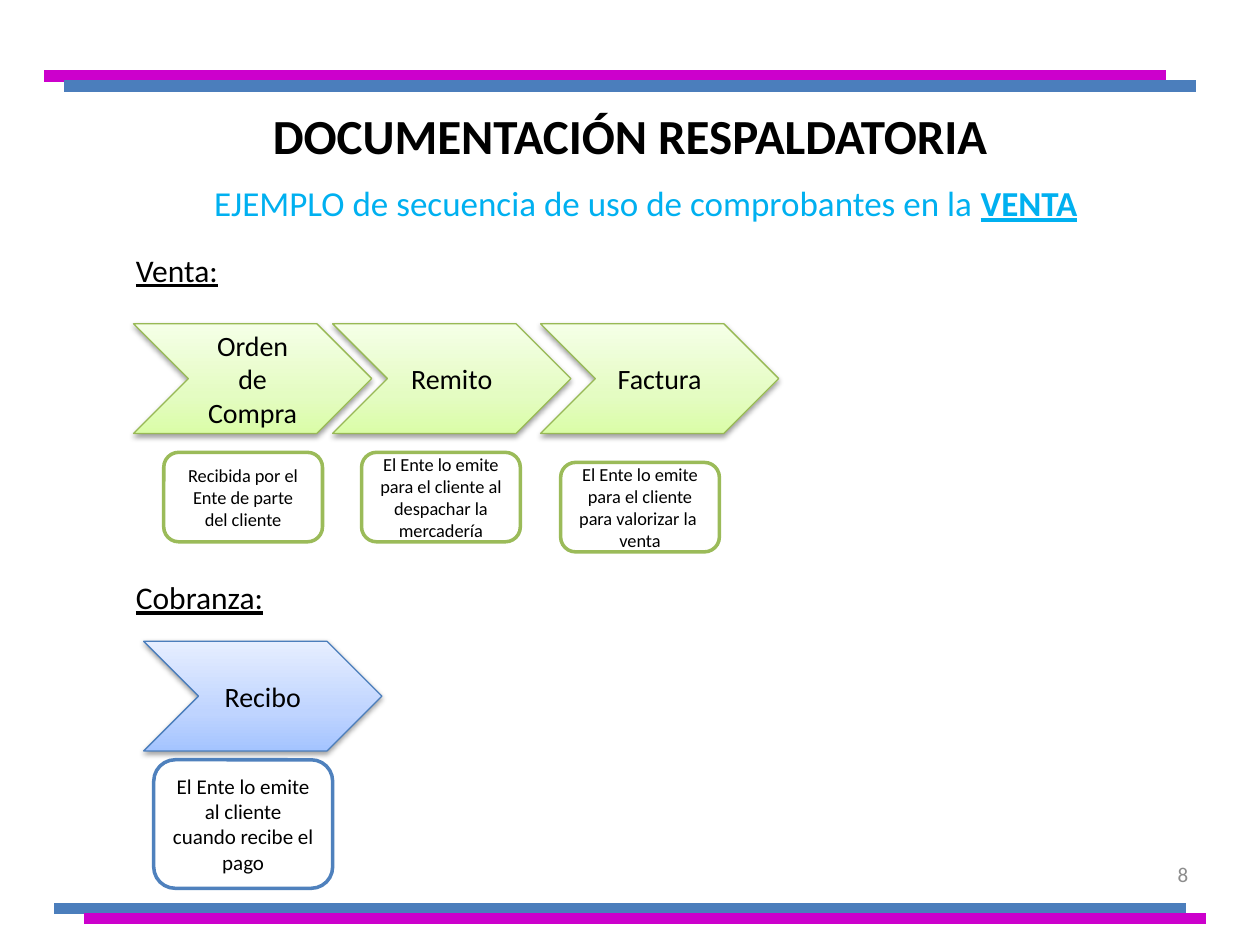
from copy import deepcopy

from lxml import etree
from pptx import Presentation
from pptx.dml.color import RGBColor
from pptx.enum.shapes import MSO_CONNECTOR, MSO_SHAPE
from pptx.enum.text import MSO_ANCHOR, PP_ALIGN
from pptx.oxml import parse_xml
from pptx.oxml.ns import qn
from pptx.util import Inches, Pt

LEFT, CENTER, RIGHT = PP_ALIGN.LEFT, PP_ALIGN.CENTER, PP_ALIGN.RIGHT
TOP, MIDDLE = MSO_ANCHOR.TOP, MSO_ANCHOR.MIDDLE
STRAIGHT = MSO_CONNECTOR.STRAIGHT
CHEVRON, ROUNDED = MSO_SHAPE.CHEVRON, MSO_SHAPE.ROUNDED_RECTANGLE

FONT = "Calibri"
BLACK, GRAY, CYAN = "000000", "8C8C8C", "00B0F0"
BLUE, MAGENTA = "4B7EBC", "CC00CC"
GREEN_STEP = ("98B955", ["DAFDA7", "E4FCC2", "F5FFE7"])
BLUE_STEP = (BLUE, ["A4C4FF", "BFD4FF", "E6EEFF"])
GREEN_NOTE, BLUE_NOTE = "9BBB59", "4F81BD"
STOPS = [0, 0.35, 1]

SHADOW = (
    '<a:effectLst xmlns:a="http://schemas.openxmlformats.org/drawingml/2006/main">'
    '<a:outerShdw blurRad="40000" dist="20000" dir="5400000" rotWithShape="0">'
    '<a:srgbClr val="000000"><a:alpha val="38000"/></a:srgbClr>'
    "</a:outerShdw></a:effectLst>"
)


def color(value):
    return RGBColor.from_string(value)


def place(box, left, top, width, height):
    box.left, box.top = Inches(left), Inches(top)
    box.width, box.height = Inches(width), Inches(height)


def style(para, size, ink=BLACK, align=CENTER, bold=False, underline=False):
    para.alignment = align
    for span in para.runs:
        font = span.font
        font.name, font.size, font.bold = FONT, Pt(size), bold
        font.underline = underline
        font.color.rgb = color(ink)


def write(box, text, size, anchor=MIDDLE, **look):
    frame = box.text_frame
    frame.word_wrap = True
    frame.vertical_anchor = anchor
    frame.text = text
    for para in frame.paragraphs:
        style(para, size, **look)


def add_bar(page, left, right, y, ink):
    bar = page.shapes.add_connector(
        STRAIGHT, Inches(left), Inches(y), Inches(right), Inches(y))
    bar.line.color.rgb = color(ink)
    bar.line.width = Pt(6.75)
    etree.SubElement(bar._element.spPr, qn("a:effectLst"))


def add_label(page, text, at, size, **look):
    box = page.shapes.add_textbox(*map(Inches, at))
    write(box, text, size, **look)


def add_step(page, text, left, top, palette):
    """Gradient chevron with a soft shadow."""
    outline, tints = palette
    step = page.shapes.add_shape(
        CHEVRON, Inches(left), Inches(top), Inches(1.89), Inches(0.87))
    step.fill.gradient()
    step.fill.gradient_angle = 90
    stop_list = step._element.spPr.find(qn("a:gradFill")).find(qn("a:gsLst"))
    stop_list.append(deepcopy(stop_list[-1]))
    for stop, position, tint in zip(step.fill.gradient_stops, STOPS, tints):
        stop.position = position
        stop.color.rgb = color(tint)
    step.line.color.rgb = color(outline)
    step.line.width = Pt(0.75)
    step._element.spPr.append(parse_xml(SHADOW))
    write(step, text, 16)


def add_note(page, text, at, size, outline):
    note = page.shapes.add_shape(ROUNDED, *map(Inches, at))
    note.shadow.inherit = False
    note.fill.solid()
    note.fill.fore_color.rgb = color("FFFFFF")
    note.line.color.rgb = color(outline)
    note.line.width = Pt(2)
    write(note, text, size)


def add_headings(page):
    title, body = page.shapes.title, page.placeholders[1]
    place(title, 0.75, 0.67, 8.5, 0.8)
    write(title, "DOCUMENTACIÓN RESPALDATORIA", 28, bold=True)

    place(body, 1.54, 1.39, 7.17, 0.55)
    write(body, "EJEMPLO de secuencia de uso de comprobantes en la ", 20,
          anchor=TOP, ink=CYAN)
    para = body.text_frame.paragraphs[0]
    etree.SubElement(para._p.get_or_add_pPr(), qn("a:buNone"))
    para.space_before = Pt(0)
    span = para.add_run()
    span.text = "VENTA"
    style(para, 20, ink=CYAN)
    span.font.bold = span.font.underline = True


def main():
    deck = Presentation()
    deck.slide_width, deck.slide_height = Inches(10), Inches(7.5)
    page = deck.slides.add_slide(deck.slide_layouts[1])

    # Double bars at the bottom and top
    add_bar(page, 0.43, 9.41, 7.21, BLUE)
    add_bar(page, 0.67, 9.57, 7.29, MAGENTA)
    add_bar(page, 0.35, 9.25, 0.6, MAGENTA)
    add_bar(page, 0.51, 9.49, 0.68, BLUE)

    # Headings and page number
    add_headings(page)
    add_label(page, "8", (7.2, 6.74, 2.33, 0.4), 12, ink=GRAY, align=RIGHT)
    for text, top in [("Venta:", 1.94), ("Cobranza:", 4.54)]:
        add_label(page, text, (0.98, top, 1.81, 0.4), 18,
                  anchor=TOP, align=LEFT, underline=True)

    # Sale: steps, then the note under each
    for text, left in [("Orden de Compra", 1.06), ("Remito", 2.64), ("Factura", 4.29)]:
        add_step(page, text, left, 2.57, GREEN_STEP)
    notes = [
        ("Recibida por el Ente de parte del cliente", 1.3, 3.59),
        ("El Ente lo emite para el cliente al despachar la mercadería", 2.87, 3.59),
        ("El Ente lo emite para el cliente para valorizar la \nventa", 4.45, 3.67),
    ]
    for text, left, top in notes:
        add_note(page, text, (left, top, 1.26, 0.71), 10.5, GREEN_NOTE)

    # Collection
    add_step(page, "Recibo", 1.14, 5.09, BLUE_STEP)
    add_note(page, "El Ente lo emite al cliente cuando recibe el pago",
             (1.22, 6.03, 1.42, 1.02), 12, BLUE_NOTE)

    deck.save("out.pptx")


if __name__ == "__main__":
    main()
